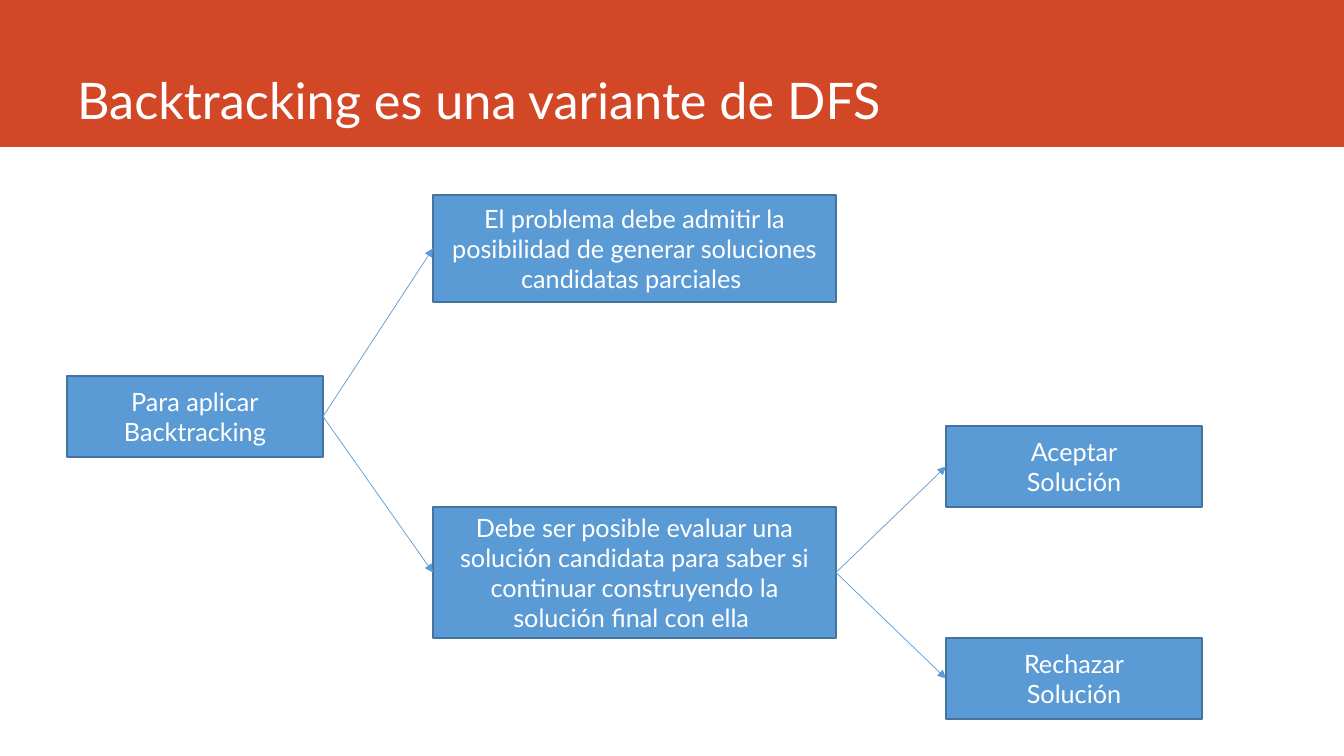
from dataclasses import dataclass

from lxml.etree import SubElement
from pptx import Presentation
from pptx.dml.color import RGBColor
from pptx.enum.shapes import MSO_CONNECTOR as Connector, MSO_SHAPE as Shape
from pptx.enum.text import MSO_ANCHOR as Anchor, MSO_AUTO_SIZE as AutoSize, PP_ALIGN as Align
from pptx.oxml.ns import qn
from pptx.util import Pt

EMU_PER_PX = 914400 / 100.8
LEFT_SIDE, RIGHT_SIDE = 1, 3


@dataclass(frozen=True)
class Theme:
    font: str = "Lato"
    text: str = "FFFFFF"
    band: str = "D24726"
    node: str = "5B9BD5"
    border: str = "43739E"
    title_size: int = 36
    node_size: int = 18
    border_width: float = 1
    arrow_width: float = 0.5


def px(length):
    return round(length * EMU_PER_PX)


def write(frame, text, *, font, size, color, align, anchor):
    frame.text = text
    frame.word_wrap = True
    frame.auto_size = AutoSize.NONE
    frame.vertical_anchor = anchor
    for paragraph in frame.paragraphs:
        paragraph.alignment = align
        for run in paragraph.runs:
            run.font.name = font
            run.font.size = Pt(size)
            run.font.color.rgb = RGBColor.from_string(color)


class Diagram:
    def __init__(self, slide, theme):
        self.slide = slide
        self.theme = theme

    def rectangle(self, left, top, width, height, fill):
        area = self.slide.shapes.add_shape(
            Shape.RECTANGLE, px(left), px(top), px(width), px(height))
        area.shadow.inherit = False
        area.fill.solid()
        area.fill.fore_color.rgb = RGBColor.from_string(fill)
        return area

    def band(self, width, height):
        self.rectangle(0, 0, width, height, self.theme.band).line.fill.background()

    def title(self, text, left, top, width, height):
        heading = self.slide.shapes.title
        heading.left, heading.top = px(left), px(top)
        heading.width, heading.height = px(width), px(height)
        self.slide.shapes._spTree.append(heading._element)
        write(heading.text_frame, text, font=self.theme.font, size=self.theme.title_size,
              color=self.theme.text, align=Align.LEFT, anchor=Anchor.BOTTOM)

    def node(self, text, left, top, width, height):
        step = self.rectangle(left, top, width, height, self.theme.node)
        step.line.color.rgb = RGBColor.from_string(self.theme.border)
        step.line.width = Pt(self.theme.border_width)
        write(step.text_frame, text, font=self.theme.font, size=self.theme.node_size,
              color=self.theme.text, align=Align.CENTER, anchor=Anchor.MIDDLE)
        return step

    def arrow(self, source, target):
        link = self.slide.shapes.add_connector(Connector.STRAIGHT, 0, 0, 0, 0)
        link.begin_connect(source, RIGHT_SIDE)
        link.end_connect(target, LEFT_SIDE)
        link.line.color.rgb = RGBColor.from_string(self.theme.node)
        link.line.width = Pt(self.theme.arrow_width)
        SubElement(link.line._get_or_add_ln(), qn("a:tailEnd"), type="triangle")
        SubElement(link._element.spPr, qn("a:effectLst"))


def main():
    deck = Presentation()
    deck.slide_width, deck.slide_height = px(1344), px(756)
    diagram = Diagram(deck.slides.add_slide(deck.slide_layouts[5]), Theme())

    diagram.band(1344, 147)
    diagram.title("Backtracking es una variante de DFS", 67, 0, 1184, 135)

    apply = diagram.node("Para aplicar\nBacktracking", 67, 376, 256, 81)
    partial = diagram.node(
        "El problema debe admitir la posibilidad de generar soluciones\n"
        "candidatas parciales ", 433, 195, 403, 107)
    evaluate = diagram.node(
        "Debe ser posible evaluar una solución candidata para saber si "
        "continuar construyendo la solución final con ella ", 433, 507, 403, 131)
    accept, reject = (
        diagram.node(f"{verdict}\nSolución", 946, top, 256, 81)
        for verdict, top in (("Aceptar", 426), ("Rechazar", 638)))

    for source, target in ((apply, partial), (apply, evaluate),
                           (evaluate, accept), (evaluate, reject)):
        diagram.arrow(source, target)

    deck.save("out.pptx")


if __name__ == "__main__":
    main()
